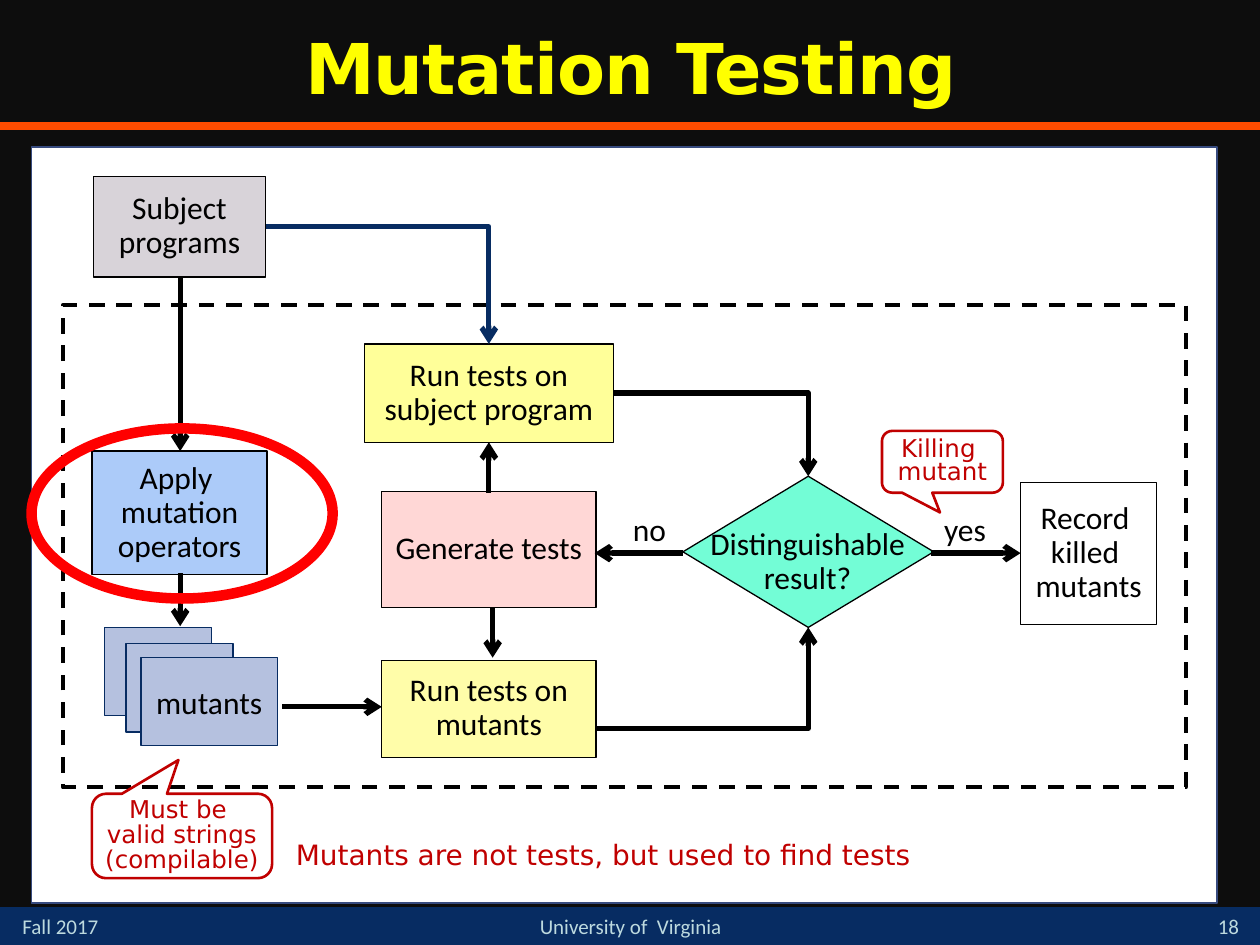
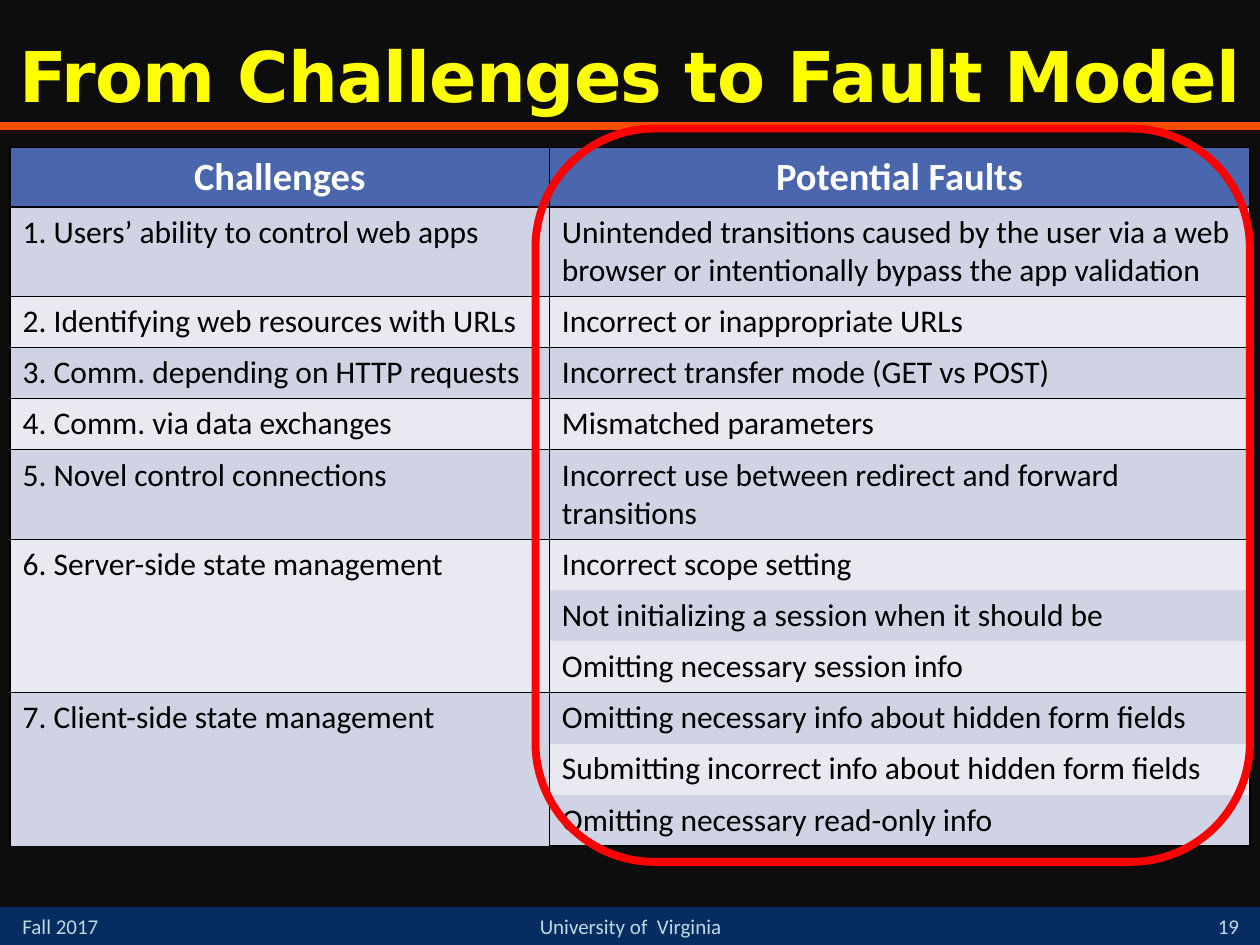
from dataclasses import dataclass

from lxml import etree
from pptx import Presentation
from pptx import util as u
from pptx.dml.color import RGBColor
from pptx.enum import dml, shapes, text
from pptx.oxml.ns import qn

SHAPE = shapes.MSO_SHAPE
LINE = shapes.MSO_CONNECTOR
ANCHOR = text.MSO_ANCHOR
ALIGN = text.PP_ALIGN
TOP, RIGHT, BOTTOM = 0, 3, 2  # connection sites


@dataclass(frozen=True)
class Theme:
    body: str = "Calibri"
    display: str = "DejaVu Sans"
    back: str = "0D0D0D"
    navy: str = "072C62"
    orange: str = "FF4C00"
    yellow: str = "FFFF00"
    footer: str = "BDDADF"
    black: str = "000000"
    white: str = "FFFFFF"
    red: str = "FF0000"
    note: str = "C00000"
    panel_edge: str = "374B7F"
    header: str = "4A66AC"
    bands: tuple = ("E9EAF1", "D0D3E3")
    mutant: str = "B5C1DF"
    subject: str = "D8D3D9"
    operators: str = "ACCBF9"
    run_subject: str = "FFFF99"
    run_mutants: str = "FFFDA9"
    generate: str = "FFD7D6"
    decision: str = "73FDD6"
    title_size: int = 40
    header_size: int = 22
    body_size: int = 18
    remark_size: int = 16
    note_size: int = 14
    footer_size: int = 12


T = Theme()


def inches(values):
    return [u.Inches(v) for v in values]


def set_all(target, values):
    for name, value in values.items():
        setattr(target, name, value)


class Deck:
    def __init__(self):
        self.prs = Presentation()
        set_all(self.prs, {"slide_width": u.Inches(10), "slide_height": u.Inches(7.5)})
        self.s = None

    def new_slide(self, title, box, number):
        """Start a slide with the shared background, rule, footer and title."""
        self.s = self.prs.slides.add_slide(self.prs.slide_layouts[5])
        fill = self.s.background.fill
        fill.solid()
        fill.fore_color.rgb = RGBColor.from_string(T.back)
        self.shape((0, 7.2, 10, 0.3), fill=T.navy)
        self.line((0, 1), (10, 1), color=T.orange, width=4.5, arrow=None)
        style = {"size": T.footer_size, "color": T.footer}
        self.label((0.08, 7.2, 1.17, 0.3), "Fall 2017", align=ALIGN.LEFT,
                   anchor=ANCHOR.TOP, **style)
        self.label((3.67, 7.2, 2.67, 0.3), "University of  Virginia",
                   anchor=ANCHOR.TOP, **style)
        self.label((9.5, 7.17, 0.5, 0.33), str(number), anchor=ANCHOR.BOTTOM, **style)
        self.title(title, box)

    def title(self, words, box):
        sp = self.s.shapes.title
        set_all(sp, dict(zip(("left", "top", "width", "height"), inches(box))))
        self.put_text(sp.text_frame, words, size=T.title_size, font=T.display,
                      color=T.yellow, bold=True, spacing=0.9)
        for r in sp.text_frame.paragraphs[0].runs:
            r.font._element.set("spc", "-50")

    def add_words(self, p, words, size=T.body_size, font=T.body, color=T.black, bold=False):
        r = p.add_run()
        r.text = words
        set_all(r.font, {"size": u.Pt(size), "name": font, "bold": bold})
        r.font.color.rgb = RGBColor.from_string(color)

    def put_text(self, tf, words, align=ALIGN.CENTER, anchor=ANCHOR.MIDDLE, spacing=1.0,
                 wrap=True, **style):
        """Fill a text frame, one paragraph for each line of words."""
        set_all(tf, {"word_wrap": wrap, "auto_size": text.MSO_AUTO_SIZE.NONE,
                     "vertical_anchor": anchor})
        for i, line in enumerate(words.split("\n")):
            p = tf.paragraphs[0] if i == 0 else tf.add_paragraph()
            set_all(p, {"alignment": align, "line_spacing": spacing})
            self.add_words(p, line, **style)

    def shape(self, box, kind=SHAPE.RECTANGLE, fill=None, edge=None, width=0.75,
              dash=None, words=None, adjust=(), **style):
        sp = self.s.shapes.add_shape(kind, *inches(box))
        sp.shadow.inherit = False
        for i, value in enumerate(adjust):
            sp.adjustments[i] = value
        if fill:
            sp.fill.solid()
            sp.fill.fore_color.rgb = RGBColor.from_string(fill)
        else:
            sp.fill.background()
        if edge:
            sp.line.color.rgb = RGBColor.from_string(edge)
            set_all(sp.line, {"width": u.Pt(width), "dash_style": dash})
        else:
            sp.line.fill.background()
        if words:
            self.put_text(sp.text_frame, words, **style)
        return sp

    def step(self, box, fill, words):
        return self.shape(box, fill=fill, edge=T.black, words=words, spacing=0.9)

    def callout(self, box, tip, words, spacing):
        self.shape(box, SHAPE.ROUNDED_RECTANGULAR_CALLOUT, edge=T.note, width=1.5,
                   adjust=(*tip, 0.167), words=words, size=T.note_size,
                   font=T.display, color=T.note, spacing=spacing, wrap=False)

    def label(self, box, words, **style):
        sp = self.s.shapes.add_textbox(*inches(box))
        self.put_text(sp.text_frame, words, **style)

    def line(self, start, end, color=T.black, width=3, arrow="tailEnd", kind=LINE.STRAIGHT):
        cx = self.s.shapes.add_connector(kind, *inches(start + end))
        cx.line.color.rgb = RGBColor.from_string(color)
        cx.line.width = u.Pt(width)
        if arrow:
            ln = cx._element.spPr.find(qn("a:ln"))
            etree.SubElement(ln, qn("a:" + arrow), type="arrow")
        etree.SubElement(cx._element.spPr, qn("a:effectLst"))
        return cx

    def elbow(self, start, end, target, site, source=None, color=T.black):
        """Arrow with one corner, going sideways first and then up or down."""
        cx = self.line(start, end, color, kind=LINE.ELBOW)
        cx._element.spPr.find(qn("a:prstGeom")).set("prst", "bentConnector2")
        if source is not None:
            cx.begin_connect(source, RIGHT)
        cx.end_connect(target, site)

    def cell(self, cell, words, fill, sides="LRTB", align=ALIGN.LEFT, **style):
        tc_pr = cell._tc.get_or_add_tcPr()
        for side in "LRTB":
            ln = etree.SubElement(tc_pr, qn("a:ln" + side), w=str(u.Pt(1)))
            if side in sides:
                paint = etree.SubElement(ln, qn("a:solidFill"))
                etree.SubElement(paint, qn("a:srgbClr"), val=T.black)
            else:
                etree.SubElement(ln, qn("a:noFill"))
        cell.fill.solid()
        cell.fill.fore_color.rgb = RGBColor.from_string(fill)
        if words:
            p = cell.text_frame.paragraphs[0]
            p.alignment = align
            self.add_words(p, words, **style)

    def grouped_table(self, box, widths, heads, groups):
        """Table whose first column spans all the rows of each group."""
        count = 1 + sum(len(items) for _, items in groups)
        frame = self.s.shapes.add_table(count, len(heads), *inches(box))
        table = frame.table
        table.horz_banding = False
        for column, width in zip(table.columns, widths):
            column.width = u.Inches(width)
        for row in table.rows:
            row.height = u.Inches(box[3] / count)
        for j, head in enumerate(heads):
            self.cell(table.cell(0, j), head, T.header, size=T.header_size,
                      color=T.white, bold=True, align=ALIGN.CENTER)
        i = 1
        for name, items in groups:
            first, last = i, i + len(items) - 1
            for item in items:
                sides = "LR" + "T" * (i == first) + "B" * (i == last)
                self.cell(table.cell(i, 0), name if i == first else None,
                          T.bands[first % 2], sides)
                self.cell(table.cell(i, 1), item, T.bands[i % 2], sides)
                i += 1
            if last > first:
                table.cell(first, 0).merge(table.cell(last, 0))


def mutation_testing(d):
    d.new_slide("Mutation Testing", (0.67, 0.17, 8.67, 0.8), 18)
    d.shape((0.25, 1.17, 9.41, 6), fill=T.white, edge=T.panel_edge, width=1.1)
    d.shape((0.5, 2.42, 8.91, 3.83), edge=T.black, width=2.25, dash=dml.MSO_LINE.DASH)

    for box in ((0.83, 4.98, 0.85, 0.7), (1, 5.11, 0.85, 0.7)):
        d.shape(box, fill=T.mutant, edge=T.navy)
    d.shape((1.12, 5.22, 1.08, 0.7), fill=T.mutant, edge=T.navy, words="mutants")

    subject = d.step((0.74, 1.4, 1.37, 0.8), T.subject, "Subject programs")
    d.step((0.73, 3.58, 1.39, 0.98), T.operators, "Apply \nmutation operators")
    run_subject = d.step((2.89, 2.73, 1.98, 0.78), T.run_subject,
                         "Run tests on subject program")
    d.step((3.03, 5.24, 1.7, 0.77), T.run_mutants, "Run tests on mutants")
    d.step((3.03, 3.9, 1.7, 0.92), T.generate, "Generate tests")
    d.step((8.1, 3.83, 1.08, 1.13), T.white, "Record \nkilled \nmutants")
    decision = d.shape((5.42, 3.78, 1.99, 1.2), SHAPE.DIAMOND, T.decision, T.black)
    d.label((5.37, 3.99, 2.08, 0.94), "Distinguishable result?", spacing=0.9)
    d.label((4.38, 3.79, 1.55, 0.82), "no")
    d.label((6.81, 3.79, 1.7, 0.82), "yes")

    for start, end in (
        ((1.43, 2.2), (1.43, 3.58)),
        ((1.43, 4.55), (1.43, 4.97)),
        ((2.24, 5.61), (3.03, 5.61)),
        ((3.88, 3.91), (3.88, 3.51)),
        ((3.91, 4.82), (3.91, 5.22)),
        ((5.42, 4.39), (4.72, 4.39)),
        ((7.39, 4.39), (8.1, 4.39)),
    ):
        d.line(start, end)
    d.elbow((2.11, 1.8), (3.88, 2.73), run_subject, TOP, subject, T.navy)
    d.elbow((4.87, 3.12), (6.41, 3.78), decision, TOP, run_subject)
    d.elbow((4.73, 5.78), (6.41, 4.98), decision, BOTTOM)

    d.shape((0.25, 3.4, 2.39, 1.35), SHAPE.OVAL, edge=T.red, width=6)
    d.callout((0.73, 6.3, 1.43, 0.67), (-0.02, -0.9),
              "Must be \nvalid strings\n(compilable)", 0.85)
    d.callout((7, 3.42, 0.96, 0.49), (-0.02, 0.82), "Killing \nmutant", 0.8)
    d.label((2.25, 6.64, 5.13, 0.44), "Mutants are not tests, but used to find tests",
            size=T.remark_size, font=T.display, color=T.note, align=ALIGN.LEFT,
            anchor=ANCHOR.TOP, spacing=0.85, wrap=False)


def fault_model(d):
    d.new_slide("From Challenges to Fault Model", (0, 0.25, 10, 0.77), 19)
    groups = (
        ("1. Users’ ability to control web apps",
         ["Unintended transitions caused by the user via a web browser "
          "or intentionally bypass the app validation"]),
        ("2. Identifying web resources with URLs", ["Incorrect or inappropriate URLs"]),
        ("3. Comm. depending on HTTP requests", ["Incorrect transfer mode (GET vs POST)"]),
        ("4. Comm. via data exchanges", ["Mismatched parameters"]),
        ("5. Novel control connections",
         ["Incorrect use between redirect and forward transitions"]),
        ("6. Server-side state management",
         ["Incorrect scope setting",
          "Not initializing a session when it should be",
          "Omitting necessary session info"]),
        ("7. Client-side state management",
         ["Omitting necessary info about hidden form fields",
          "Submitting incorrect info about hidden form fields",
          "Omitting necessary read-only info"]),
    )
    d.grouped_table((0.08, 1.17, 9.84, 4.8), (4.28, 5.56),
                    ("Challenges", "Potential Faults"), groups)
    d.shape((4.25, 1.02, 5.67, 5.82), SHAPE.ROUNDED_RECTANGLE, edge=T.red, width=4.5)


def main():
    d = Deck()
    mutation_testing(d)
    fault_model(d)
    d.prs.save("out.pptx")


if __name__ == "__main__":
    main()
